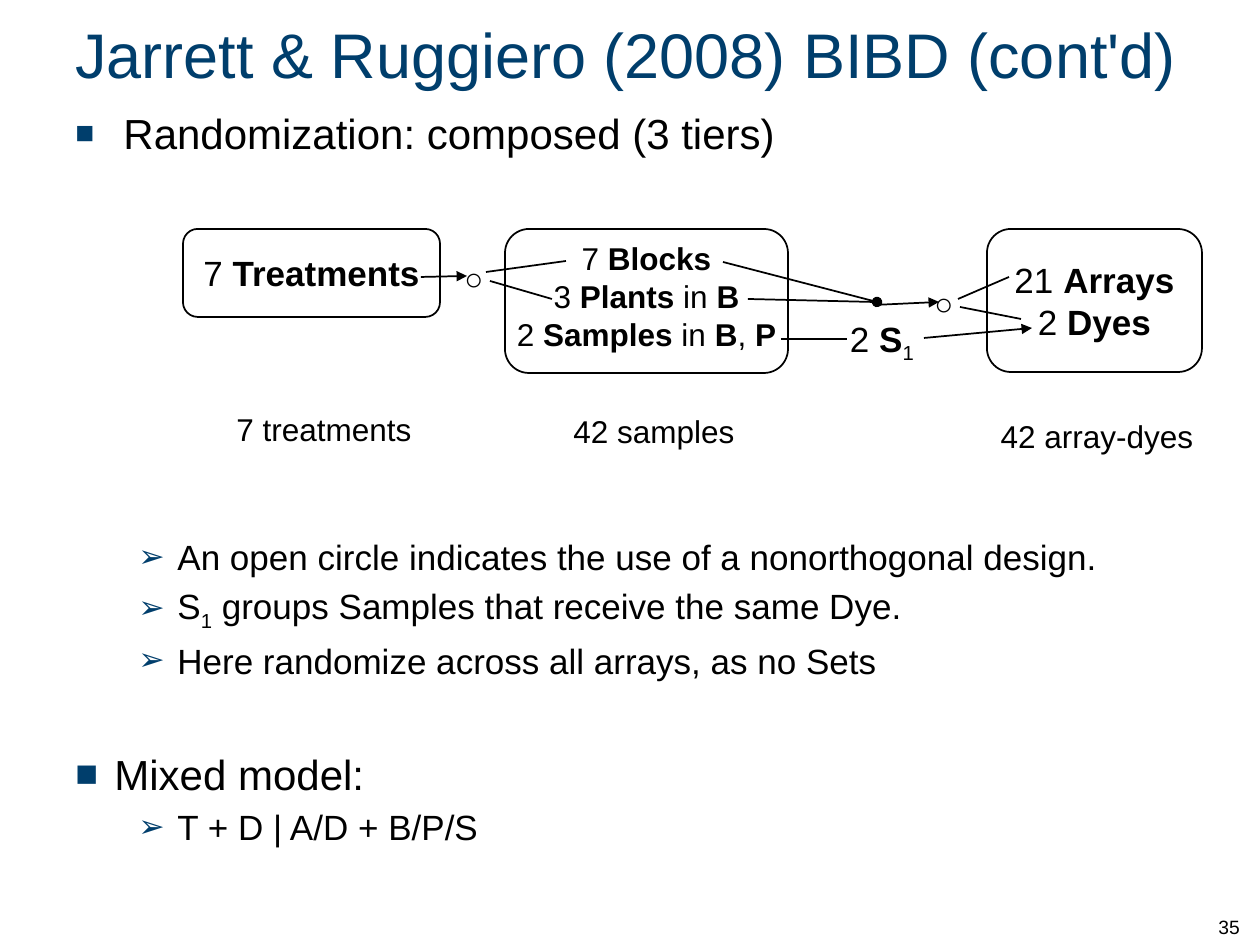
from lxml.etree import SubElement
from pptx import Presentation
from pptx.dml.color import RGBColor
from pptx.enum.shapes import MSO_CONNECTOR as Connector, MSO_SHAPE as Shape
from pptx.enum.text import MSO_ANCHOR as Anchor, PP_ALIGN as Align
from pptx.oxml.ns import qn
from pptx.util import Emu, Pt

COLOURS = {"title": "003E6C", "ink": "000000"}
FONT = "Arial"
EMU_PER_PIXEL = 914400 / 126


def px(*pixels):
    """Turn pixel lengths into EMU."""
    return [Emu(round(pixel * EMU_PER_PIXEL)) for pixel in pixels]


def colour(name):
    """Look up a colour by its role."""
    return RGBColor.from_string(COLOURS[name])


def write(paragraph, text, size, ink="ink", align=Align.LEFT):
    """Write text in which *...* is bold and ~...~ is subscript."""
    paragraph.alignment = align
    font = paragraph.font
    font.name, font.size = FONT, Pt(size)
    font.color.rgb = colour(ink)
    for bold_index, piece in enumerate(text.split("*")):
        for low_index, part in enumerate(piece.split("~")):
            if not part:
                continue
            run = paragraph.add_run()
            run.text = part
            if bold_index % 2:
                run.font.bold = True
            if low_index % 2:
                run.font._element.set("baseline", "-25000")


def add_bullet(paragraph, char, percent, left, hanging, gap=None):
    """Give a paragraph a bullet, a hanging indent (pixels) and space before."""
    properties = paragraph._p.get_or_add_pPr()
    margin, indent = px(left, -hanging)
    properties.set("marL", str(margin))
    properties.set("indent", str(indent))
    before = SubElement(properties, qn("a:spcBef"))
    if gap is None:
        SubElement(before, qn("a:spcPct"), val="20000")
    else:
        SubElement(before, qn("a:spcPts"), val=str(round(gap * 100)))
    bullet_colour = SubElement(properties, qn("a:buClr"))
    SubElement(bullet_colour, qn("a:srgbClr"), val=COLOURS["title"])
    SubElement(properties, qn("a:buSzPct"), val=str(percent * 1000))
    SubElement(properties, qn("a:buFont"), typeface=FONT)
    SubElement(properties, qn("a:buChar"), char=char)


def add_paragraphs(frame, count):
    """Return the given number of paragraphs of a new text frame."""
    return [frame.paragraphs[0]] + [frame.add_paragraph() for _ in range(count - 1)]


def add_text(slide, box, text, size, ink="ink", align=Align.LEFT,
             anchor=Anchor.TOP, wrap=True):
    """Add a text box of one paragraph."""
    frame = slide.shapes.add_textbox(*px(*box)).text_frame
    frame.word_wrap, frame.vertical_anchor = wrap, anchor
    write(frame.paragraphs[0], text, size, ink, align)


def add_list(slide, box, items):
    """Add a bulleted text box; an item is text, size and bullet settings."""
    frame = slide.shapes.add_textbox(*px(*box)).text_frame
    frame.word_wrap = True
    for paragraph, (text, size, *bullet) in zip(add_paragraphs(frame, len(items)), items):
        add_bullet(paragraph, *bullet)
        write(paragraph, text, size)


def add_tier(slide, box, lines, size, tight=False):
    """Add a rounded panel that lists the factors of one tier."""
    shape = slide.shapes.add_shape(Shape.ROUNDED_RECTANGLE, *px(*box))
    shape.shadow.inherit = False
    shape.fill.background()
    shape.line.color.rgb, shape.line.width = colour("ink"), Pt(1)
    frame = shape.text_frame
    frame.word_wrap = tight
    frame.vertical_anchor = Anchor.MIDDLE
    if tight:
        frame.vertical_anchor = Anchor.TOP
        frame.margin_left, frame.margin_right = px(1, 1)
        frame.margin_top, frame.margin_bottom = px(3, 3)
    for paragraph, line in zip(add_paragraphs(frame, len(lines)), lines):
        write(paragraph, line, size, align=Align.CENTER)


def add_line(slide, start_x, start_y, end_x, end_y, head=None):
    """Add a thin line with an optional head at its end."""
    line = slide.shapes.add_connector(
        Connector.STRAIGHT, *px(start_x, start_y, end_x, end_y))
    line.line.color.rgb, line.line.width = colour("ink"), Pt(1)
    if head:
        SubElement(line.line._get_or_add_ln(), qn("a:tailEnd"), type=head)
    SubElement(line._element.spPr, qn("a:effectLst"))


def add_diagram(slide):
    """Draw the three tiers and the randomizations between them."""
    add_tier(slide, (183, 229, 257, 88), ["7 *Treatments*"], 20)
    add_tier(slide, (987, 229, 215, 143), ["21 *Arrays*", "2 *Dyes*"], 20)
    add_tier(slide, (505, 229, 283, 144),
             ["7 *Blocks*", "3 *Plants *in *B*", "2 *Samples* in *B*, *P*"], 18, True)
    for box, label in [((222, 404, 204, 50), "7 treatments"),
                       ((552, 406, 204, 50), "42 samples"),
                       ((985, 411, 224, 50), "42 array-dyes")]:
        add_text(slide, box, label, 18, align=Align.CENTER)
    for left, top in [(452, 253), (922, 278)]:
        add_text(slide, (left, top, 53, 50), "○", 18, wrap=False)
    add_text(slide, (833, 311, 98, 55), "2 *S*~1~", 20, align=Align.CENTER)
    for line in [(490, 281, 552, 299), (486, 272, 566, 261),
                 (421, 277, 467, 276, "triangle"),
                 (924, 338, 1032, 328, "triangle"), (781, 339, 847, 339),
                 (960, 307, 1021, 319), (958, 299, 1009, 277),
                 (874, 305, 939, 302, "triangle"),
                 (723, 262, 877, 302, "oval"), (748, 299, 873, 302)]:
        add_line(slide, *line)


def main():
    """Build and save the slide."""
    presentation = Presentation()
    presentation.slide_width, presentation.slide_height = px(1260, 945)
    slide = presentation.slides.add_slide(presentation.slide_layouts[6])
    add_text(slide, (63, 3, 1134, 100), "Jarrett & Ruggiero (2008) BIBD (cont'd)",
             36, "title", anchor=Anchor.MIDDLE)
    add_list(slide, (63, 101, 1166, 67),
             [("Randomization: composed (3 tiers)", 24, "■", 75, 48, 48)])
    add_diagram(slide)
    arrow = ("➢", 90, 102, 39)
    add_list(slide, (63, 529, 1166, 336), [
        ("An open circle indicates the use of a nonorthogonal design.", 20, *arrow),
        ("S~1~ groups Samples that receive the same Dye.", 20, *arrow),
        ("Here randomize across all arrays, as no Sets", 20, *arrow),
        ("Mixed model:", 24, "■", 90, 39, 39, 38.5),
        ("T + D | A/D + B/P/S", 20, *arrow)])
    add_text(slide, (1206, 882, 53, 63), "35", 11, anchor=Anchor.BOTTOM)
    presentation.save("out.pptx")


main()
